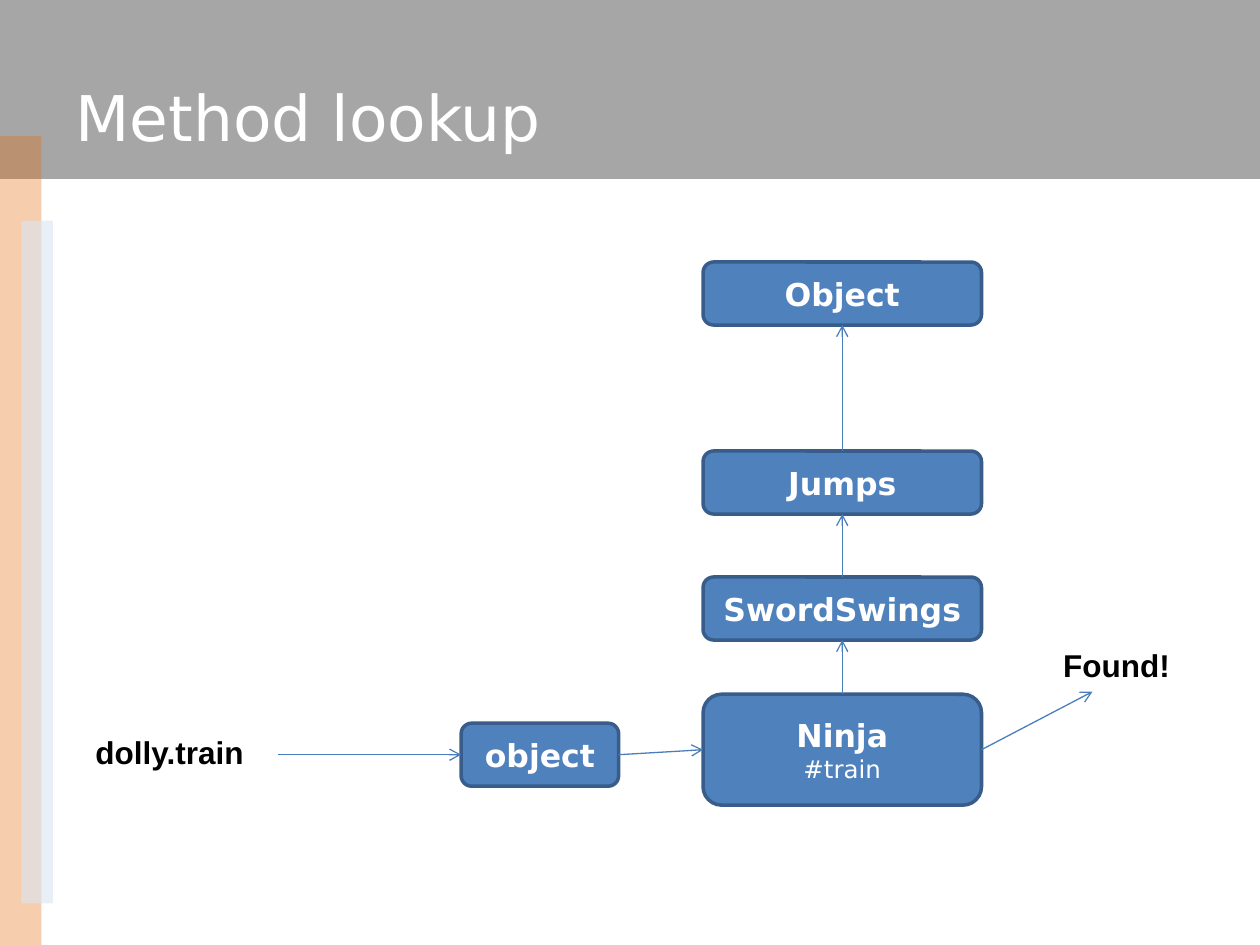
import pptx
import pptx.util
import pptx.dml.color
import pptx.enum.shapes
import pptx.enum.text
import pptx.oxml
import pptx.oxml.ns
from pptx.util import Inches

RGBColor = pptx.dml.color.RGBColor
SHAPE = pptx.enum.shapes.MSO_SHAPE
ALIGN = pptx.enum.text.PP_ALIGN
ANCHOR = pptx.enum.text.MSO_ANCHOR
FIT = pptx.enum.text.MSO_AUTO_SIZE

WHITE = RGBColor(0xFF, 0xFF, 0xFF)
BLACK = RGBColor(0x00, 0x00, 0x00)
GRAY = RGBColor(0xA6, 0xA6, 0xA6)
ORANGE = RGBColor(0xE4, 0x6C, 0x0A)
PALE = RGBColor(0xDC, 0xE6, 0xF2)
BLUE = RGBColor(0x4F, 0x81, 0xBD)
EDGE = RGBColor(0x38, 0x5D, 0x8A)
ARROW = RGBColor(0x4A, 0x7E, 0xBB)

TOP, LEFT, BOTTOM, RIGHT = range(4)


def add_xml(parent, tag, attrs=""):
    space = pptx.oxml.ns.nsdecls("a")
    parent.append(pptx.oxml.parse_xml(f"<a:{tag} {space} {attrs}/>"))


def style(para, text, size, color, face="DejaVu Sans", bold=False):
    para.text = text
    font = para.font
    font.name = face
    font.size = pptx.util.Pt(size)
    font.bold = bold
    font.color.rgb = color


def add_band(slide, box, color, alpha=100):
    band = slide.shapes.add_shape(SHAPE.RECTANGLE, *map(Inches, box))
    band.shadow.inherit = False
    band.line.fill.background()
    band.fill.solid()
    band.fill.fore_color.rgb = color
    if alpha < 100:
        tint = band.element.spPr.find(".//" + pptx.oxml.ns.qn("a:srgbClr"))
        add_xml(tint, "alpha", f'val="{alpha * 1000}"')


def add_title(slide, box, text):
    title = slide.shapes.title
    title.left, title.top, title.width, title.height = map(Inches, box)
    frame = title.text_frame
    frame.auto_size = FIT.NONE
    frame.vertical_anchor = ANCHOR.MIDDLE
    style(frame.paragraphs[0], text, 36, WHITE)
    frame.paragraphs[0].alignment = ALIGN.LEFT
    title.element.getparent().append(title.element)


def add_node(slide, box, name, method=None):
    node = slide.shapes.add_shape(SHAPE.ROUNDED_RECTANGLE, *map(Inches, box))
    node.shadow.inherit = False
    node.fill.solid()
    node.fill.fore_color.rgb = BLUE
    node.line.color.rgb = EDGE
    node.line.width = pptx.util.Pt(2)
    frame = node.text_frame
    frame.vertical_anchor = ANCHOR.MIDDLE
    style(frame.paragraphs[0], name, 18, WHITE, bold=True)
    if method:
        style(frame.add_paragraph(), method, 14, WHITE)
    for para in frame.paragraphs:
        para.alignment = ALIGN.CENTER
    return node


def add_label(slide, box, text):
    frame = slide.shapes.add_textbox(*map(Inches, box)).text_frame
    frame.word_wrap = False
    frame.auto_size = FIT.NONE
    style(frame.paragraphs[0], text, 18, BLACK, "Arial", True)
    frame.paragraphs[0].alignment = ALIGN.LEFT


def add_arrow(slide, start=(0, 0), end=(0, 0), tail=None, head=None):
    line = slide.shapes.add_connector(
        pptx.enum.shapes.MSO_CONNECTOR.STRAIGHT, *map(Inches, start + end))
    if tail:
        line.begin_connect(*tail)
    if head:
        line.end_connect(*head)
    line.line.color.rgb = ARROW
    line.line.width = pptx.util.Pt(0.75)
    props = line.element.spPr
    add_xml(props.find(pptx.oxml.ns.qn("a:ln")), "tailEnd", 'type="arrow"')
    add_xml(props, "effectLst")


def add_chain(slide, left, width):
    ninja = add_node(slide, (left, 5.51, width, 0.88), "Ninja", "#train")
    lower = ninja
    for name, top in (("SwordSwings", 4.58), ("Jumps", 3.58), ("Object", 2.08)):
        upper = add_node(slide, (left, top, width, 0.5), name)
        add_arrow(slide, tail=(lower, TOP), head=(upper, BOTTOM))
        lower = upper
    return ninja


def add_lookup(slide, ninja):
    add_label(slide, (0.66, 5.77, 1.4, 0.4), "dolly.train")
    target = add_node(slide, (3.66, 5.74, 1.25, 0.5), "object")
    add_label(slide, (8.34, 5.08, 1.1, 0.4), "Found!")
    add_arrow(slide, start=(2.21, 5.99), head=(target, LEFT))
    add_arrow(slide, tail=(target, RIGHT), head=(ninja, LEFT))
    add_arrow(slide, end=(8.67, 5.49), tail=(ninja, RIGHT))


def main():
    deck = pptx.Presentation()
    deck.slide_width = Inches(10)
    deck.slide_height = Inches(7.5)
    slide = deck.slides.add_slide(deck.slide_layouts[5])
    add_band(slide, (0, 0, 10, 1.42), GRAY)
    add_band(slide, (0, 1.08, 0.33, 6.42), ORANGE, 33)
    add_band(slide, (0.17, 1.75, 0.25, 5.42), PALE, 61)
    add_title(slide, (0.5, 0.3, 9.25, 1.25), "Method lookup")
    ninja = add_chain(slide, 5.58, 2.21)
    add_lookup(slide, ninja)
    deck.save("out.pptx")


if __name__ == "__main__":
    main()
